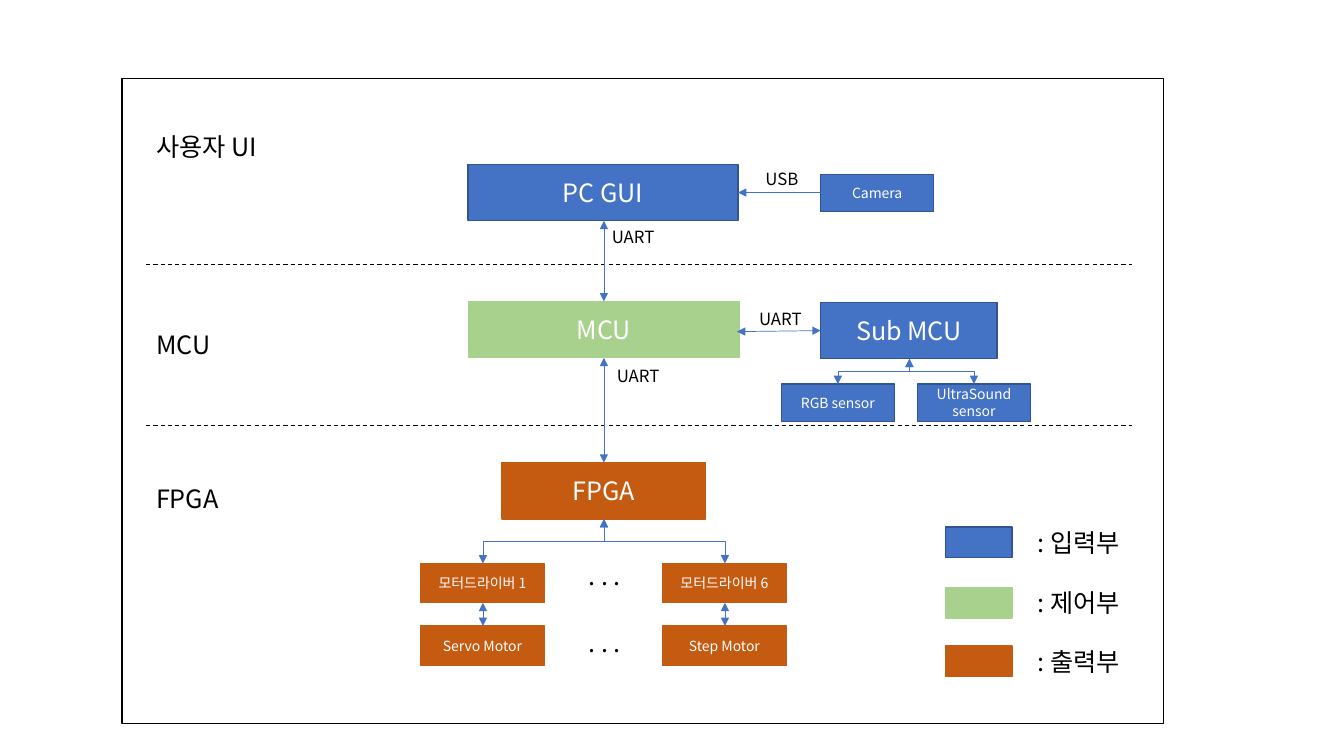
from pptx import Presentation
from pptx.util import Inches, Pt
from pptx.dml.color import RGBColor
from pptx.enum.dml import MSO_LINE as Dash
from pptx.enum.shapes import MSO_SHAPE as Kind, MSO_CONNECTOR as Link
from pptx.enum.text import PP_ALIGN as Align, MSO_ANCHOR as Anchor
from pptx.oxml.ns import qn
from lxml.etree import SubElement as Sub

FONT = "Noto Sans CJK KR"
BLUE, GREEN, ORANGE = "4472C4", "A9D18E", "C55A11"
EDGE = {BLUE: "325491", GREEN: GREEN, ORANGE: ORANGE}
BLACK, WHITE = "000000", "FFFFFF"

# Content: blocks as text, left, top, width, height, fill, size
BIG, SMALL = 18, 10
blocks = [
    ("PC GUI", 4.64, 1.63, 2.68, 0.56, BLUE, BIG),
    ("MCU", 4.65, 2.99, 2.68, 0.56, GREEN, BIG),
    ("FPGA", 4.98, 4.59, 2.02, 0.56, ORANGE, BIG),
    ("Sub MCU", 8.14, 3.0, 1.75, 0.56, BLUE, BIG),
    ("Camera", 8.14, 1.73, 1.12, 0.37, BLUE, SMALL),
    ("RGB sensor", 7.75, 3.81, 1.12, 0.37, BLUE, SMALL),
    ("UltraSound sensor", 9.1, 3.81, 1.12, 0.37, BLUE, SMALL),
]
motors = [(4.17, "모터드라이버 1", "Servo Motor"),
          (6.57, "모터드라이버 6", "Step Motor")]
rows = [5.59, 6.21]
legend = [(5.23, ": 입력부", BLUE), (5.83, ": 제어부", GREEN),
          (6.41, ": 출력부", ORANGE)]
layers = [("사용자 UI", 1.25), ("MCU", 3.22), ("FPGA", 4.75)]
tags = [("USB", 7.43, 1.62, 0.65, Align.CENTER),
        ("UART", 7.33, 3.01, 0.82, Align.CENTER),
        ("UART", 5.97, 2.2, 0.65, Align.LEFT),
        ("UART", 6.02, 3.58, 0.65, Align.LEFT)]
dots = [(". . .", 5.51), (". . .", 6.17)]

# Arrows as start x, start y, end x, end y
MID = 5.99
arrows = [(MID, 2.19, MID, 2.99), (MID, 3.55, MID, 4.59),
          (8.14, 3.28, 7.31, 3.29)]
forks = [(MID, 5.15, 4.79, 5.59), (MID, 5.15, 7.19, 5.59),
         (9.02, 3.56, 8.31, 3.81), (9.02, 3.56, 9.66, 3.81)]

deck = Presentation()
deck.slide_width, deck.slide_height = Inches(13.33), Inches(7.5)
shapes = deck.slides.add_slide(deck.slide_layouts[6]).shapes


def color(code):
    return RGBColor.from_string(code)


def write(shape, text, size, code, align):
    frame = shape.text_frame
    frame.word_wrap = True
    frame.text = text
    para = frame.paragraphs[0]
    para.alignment = align
    for run in para.runs:
        font = run.font
        font.size, font.name = Pt(size), FONT
        font.color.rgb = color(code)
        Sub(font._element, qn("a:ea")).set("typeface", FONT)


def box(x, y, w, h, fill=None, text="", size=BIG):
    shape = shapes.add_shape(Kind.RECTANGLE, *map(Inches, (x, y, w, h)))
    shape.shadow.inherit = False
    if fill:
        shape.fill.solid()
        shape.fill.fore_color.rgb = color(fill)
    else:
        shape.fill.background()
    shape.line.color.rgb = color(EDGE.get(fill, BLACK))
    shape.line.width = Pt(1)
    if text:
        shape.text_frame.vertical_anchor = Anchor.MIDDLE
        write(shape, text, size, WHITE, Align.CENTER)


def label(text, x, y, w, h, size=BIG, align=Align.LEFT):
    shape = shapes.add_textbox(*map(Inches, (x, y, w, h)))
    write(shape, text, size, BLACK, align)


def line(x1, y1, x2, y2, ends=(), code=BLUE, width=0.5, kind=Link.STRAIGHT):
    link = shapes.add_connector(kind, *map(Inches, (x1, y1, x2, y2)))
    link.line.color.rgb = color(code)
    link.line.width = Pt(width)
    for end in ends:
        Sub(link.line._get_or_add_ln(), qn("a:" + end)).set("type", "triangle")
    Sub(link._element.spPr, qn("a:effectLst"))
    return link


BOTH = ("headEnd", "tailEnd")


def fork(x1, y1, x2, y2):
    # An elbow turned a quarter so that it leaves downwards
    w, h = y2 - y1, abs(x2 - x1)
    left, top = (x1 + x2 - w) / 2, (y1 + y2 - h) / 2
    link = line(left, top, left + w, top + h, BOTH, kind=Link.ELBOW)
    form = link._element.spPr.find(qn("a:xfrm"))
    form.set("rot", str((90 if x2 < x1 else 270) * 60000))
    if x2 > x1:
        form.set("flipH", "1")


# Frame and layer dividers
box(1.21, 0.78, 10.33, 6.4)
for y in (2.62, 4.22):
    line(1.45, y, 11.23, y, code=BLACK, width=0.75).line.dash_style = Dash.DASH
for text, y in layers:
    label(text, 1.45, y, 1.43, 0.4)

# Blocks and motors
for text, x, y, w, h, fill, size in blocks:
    box(x, y, w, h, fill, text, size)
for x, *names in motors:
    for y, text in zip(rows, names):
        box(x, y, 1.23, 0.39, ORANGE, text, SMALL)
    line(x + 0.62, rows[0] + 0.39, x + 0.62, rows[1], BOTH)
for text, y in dots:
    label(text, 5.74, y, 0.56, 0.4)

# Links and their tags
for ends in arrows:
    line(*ends, BOTH)
line(8.14, 1.91, 7.32, 1.91, ["tailEnd"])
for ends in forks:
    fork(*ends)
for text, x, y, w, align in tags:
    label(text, x, y, w, 0.3, 12, align)

# Legend
for y, text, fill in legend:
    box(9.38, y, 0.66, 0.3, fill)
    label(text, 10.19, y - 0.05, 1.11, 0.35)

deck.save("out.pptx")
